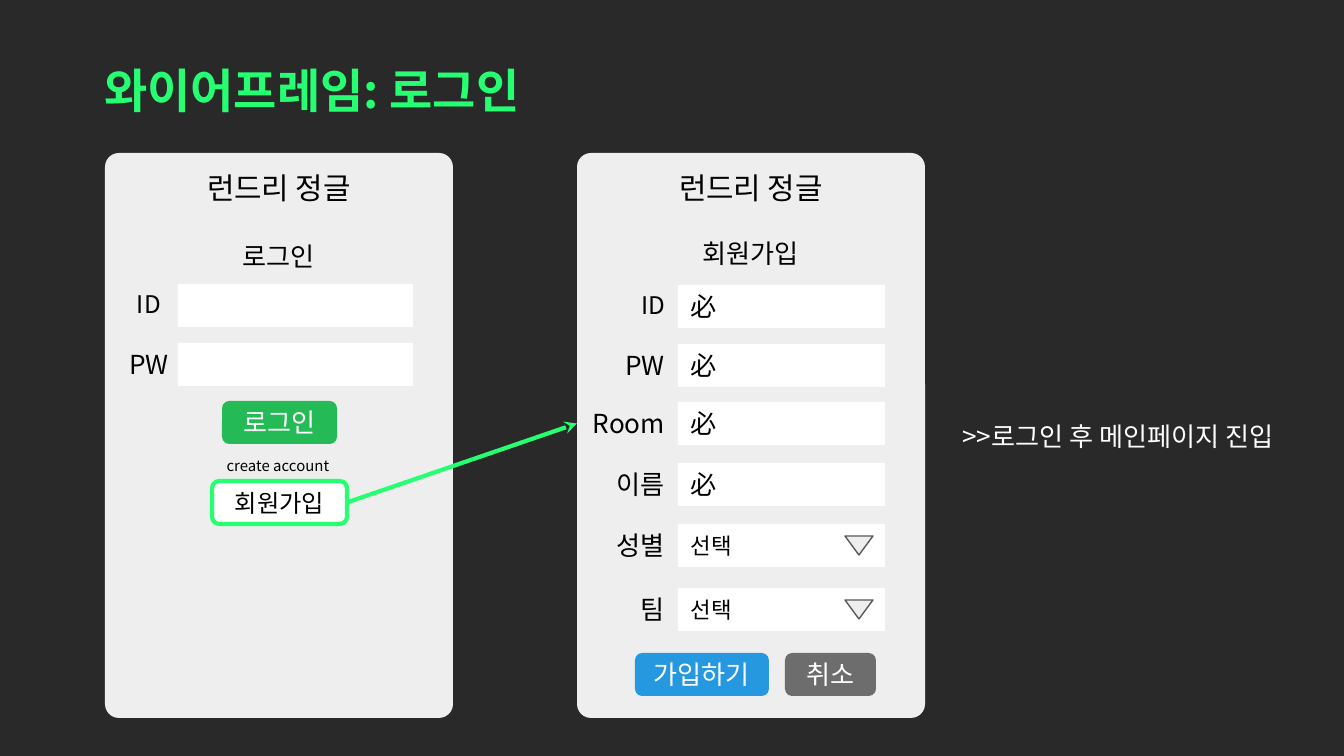
from pptx import Presentation
from pptx.dml.color import RGBColor
from pptx.enum.shapes import MSO_CONNECTOR, MSO_SHAPE as Shape
from pptx.enum.text import MSO_ANCHOR as Anchor, MSO_AUTO_SIZE as AutoSize, PP_ALIGN as Align
from pptx.oxml.ns import qn
from pptx.util import Pt
from lxml.etree import SubElement

PX = 914400 / 134.4
FONT = "Noto Sans CJK KR"
DARK, PANEL, WHITE, BLACK = "292929", "EEEEEE", "FFFFFF", "000000"
NEON, GREEN, BLUE, GRAY, OUTLINE = "25FF71", "24BA56", "2598DF", "6D6D6D", "595959"


def px(n):
    return round(n * PX)


def rgb(value):
    return RGBColor.from_string(value)


class Wireframe:
    field_h = 43
    label_rise = 8

    def __init__(self, prs):
        self.s = prs.slides.add_slide(prs.slide_layouts[5])
        fill = self.s.background.fill
        fill.solid()
        fill.fore_color.rgb = rgb(DARK)

    def set_text(self, sp, text, size, color, align, anchor, bold=False):
        tf = sp.text_frame
        tf.word_wrap = True
        tf.vertical_anchor = anchor
        tf.margin_left = tf.margin_right = tf.margin_top = tf.margin_bottom = px(13)
        p = tf.paragraphs[0]
        p.alignment = align
        r = p.add_run()
        r.text = text
        r.font.size = Pt(size)
        r.font.bold = bold
        r.font.name = FONT
        r.font.color.rgb = rgb(color)
        SubElement(r.font._element, qn("a:ea"), typeface=FONT)

    def title(self, text, x, y, w, h):
        sp = self.s.shapes.title
        sp.left, sp.top, sp.width, sp.height = map(px, (x, y, w, h))
        self.set_text(sp, text, 25.2, NEON, Align.LEFT, Anchor.TOP, True)
        sp.text_frame.auto_size = AutoSize.NONE

    def text(self, text, x, y, w, h=59, size=14, color=BLACK, align=Align.CENTER):
        sp = self.s.shapes.add_textbox(*map(px, (x, y, w, h)))
        self.set_text(sp, text, size, color, align, Anchor.TOP)
        sp.text_frame.auto_size = AutoSize.SHAPE_TO_FIT_TEXT
        return sp

    def shape(self, kind, x, y, w, h, fill, line=None, weight=0.75):
        sp = self.s.shapes.add_shape(kind, *map(px, (x, y, w, h)))
        sp.shadow.inherit = False
        sp.fill.solid()
        sp.fill.fore_color.rgb = rgb(fill)
        if line:
            sp.line.color.rgb = rgb(line)
            sp.line.width = Pt(weight)
        else:
            sp.line.fill.background()
        return sp

    def panel(self, x, heading, heading_x, subheading, sub_y):
        sp = self.shape(Shape.ROUNDED_RECTANGLE, x, 153, 348, 565, PANEL)
        sp.adjustments[0] = 0.04
        self.text(heading, heading_x, 157, 284, 63, 16)
        self.text(subheading, heading_x, sub_y, 284)

    def field(self, x, y, w, hint="", size=14):
        sp = self.shape(Shape.RECTANGLE, x, y, w, self.field_h, WHITE)
        if hint:
            self.set_text(sp, hint, size, BLACK, Align.LEFT, Anchor.MIDDLE)

    def label(self, text, x, field_y, w, size, align):
        return self.text(text, x, field_y - self.label_rise, w, size=size, align=align)

    def dropdown(self, x, y):
        self.shape(Shape.FLOWCHART_MERGE, x, y + 12, 28, 19, PANEL, OUTLINE)

    def button(self, text, x, y, w, fill, color=WHITE, size=14, line=None):
        sp = self.shape(Shape.ROUNDED_RECTANGLE, x, y, w, self.field_h, fill, line, 2.25)
        self.set_text(sp, text, size, color, Align.CENTER, Anchor.MIDDLE)
        return sp

    def arrow(self, start, end):
        c = self.s.shapes.add_connector(MSO_CONNECTOR.STRAIGHT, 0, 0, 0, 0)
        c.begin_connect(start, 3)
        c.end_connect(end, 1)
        c.line.color.rgb = rgb(NEON)
        c.line.width = Pt(2.25)
        props = c._element.spPr
        SubElement(props.find(qn("a:ln")), qn("a:tailEnd"), type="stealth")
        SubElement(props, qn("a:effectLst"))


def main():
    prs = Presentation()
    prs.slide_width, prs.slide_height = px(1344), px(756)
    wf = Wireframe(prs)

    wf.panel(105, "런드리 정글", 137, "로그인", 227)
    for text, x, y, w, size in [("ID", 124, 284, 55, 13), ("PW", 116, 343, 75, 14)]:
        wf.field(178, y, 235)
        wf.label(text, x, y, w, size, Align.LEFT)
    wf.button("로그인", 222, 401, 115, GREEN)
    wf.text("create account", 196, 448, 164, 46, 8)
    signup = wf.button("회원가입", 212, 481, 135, WHITE, BLACK, 13, NEON)

    wf.panel(577, "런드리 정글", 609, "회원가입", 224)
    field_x = 678
    labels = {}
    for text, y, w, size, hint in [
        ("ID", 285, 55, 13, "必"),
        ("PW", 344, 75, 14, "必"),
        ("Room", 402, 101, 14, "必"),
        ("이름", 463, 101, 14, "必"),
        ("성별", 524, 85, 14, "선택"),
        ("팀", 588, 60, 14, "선택"),
    ]:
        optional = hint == "선택"
        wf.field(field_x, y, 207, hint, 12 if optional else 14)
        labels[text] = wf.label(text, field_x - w, y, w, size, Align.RIGHT)
        if optional:
            wf.dropdown(845, y)
    wf.button("가입하기", 635, 653, 134, BLUE)
    wf.button("취소", 785, 653, 91, GRAY)

    wf.arrow(signup, labels["Room"])
    wf.title("와이어프레임: 로그인", 91, 48, 1184, 85)
    wf.text(">>로그인 후 메인페이지 진입", 949, 407, 348, color=WHITE, align=Align.LEFT)
    prs.save("out.pptx")


if __name__ == "__main__":
    main()
